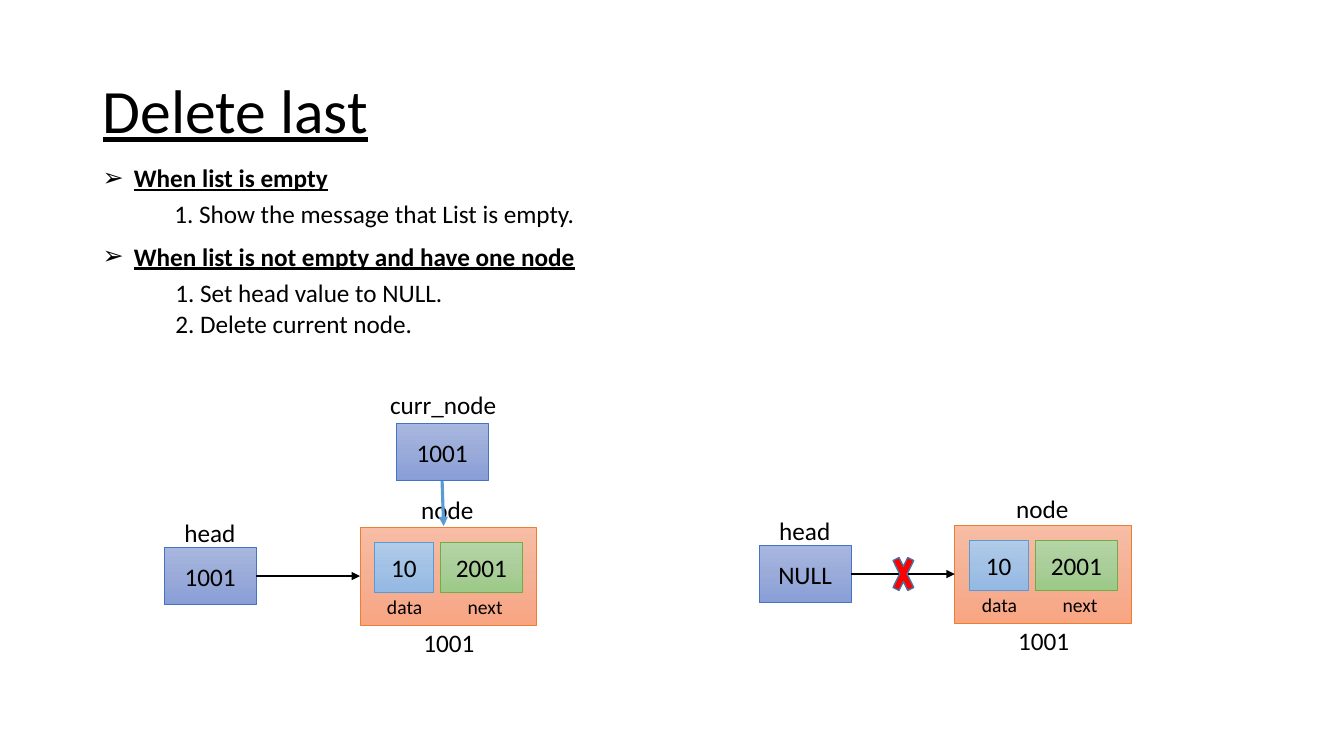
from copy import deepcopy
from dataclasses import dataclass

from lxml.etree import SubElement
from pptx import Presentation
from pptx.dml.color import RGBColor
from pptx.enum.shapes import MSO_CONNECTOR, MSO_SHAPE
from pptx.enum.text import MSO_ANCHOR, MSO_AUTO_SIZE, PP_ALIGN
from pptx.oxml.ns import qn
from pptx.util import Inches, Pt

# Content: (text, is heading, left, top, width)
TITLE = "Delete last"
LINES = [
    ("When list is empty", True, 0.92, 1.56, 2.46),
    ("1. Show the message that List is empty.", False, 1.63, 1.92, 4.22),
    ("When list is not empty and have one node", True, 0.92, 2.34, 4.93),
    ("1. Set head value to NULL.", False, 1.64, 2.7, 2.89),
    ("2. Delete current node.", False, 1.64, 3.01, 2.58),
]
# Each diagram: head value, left of the head box, top of the node box
DIAGRAMS = [("1001", 1.63, 5.23), ("NULL", 7.53, 5.21)]
# Labels around a diagram: text, size name, offset from its origin, width, height
LABELS = [
    ("data", "small", 2.11, 0.62, 0.56, 0.34),
    ("next", "small", 2.91, 0.62, 0.55, 0.34),
    ("head", "body", 0.1, -0.15, 0.72, 0.4),
    ("1001", "body", 2.47, 0.94, 0.71, 0.4),
    ("node", "body", 2.45, -0.37, 0.73, 0.4),
]
POINTER_SIZE = (0.91, 0.57)


@dataclass(frozen=True)
class Theme:
    font: str = "Calibri"
    ink: str = "000000"
    title: int = 44
    body: int = 18
    small: int = 14
    arrow: str = "5B9BD5"
    cross: str = "FF0000"
    cross_line: str = "43739E"
    # Box styles: gradient stops, then outline
    pointer: tuple = ("A8B7DF", "9AABD9", "889ED7", "4472C4")
    node: tuple = ("F7BDA5", "F5B196", "F8A582", "ED7D31")
    data: tuple = ("B1CBE9", "A3C1E5", "93B9E4", "5B9BD5")
    next: tuple = ("B5D5A7", "AACE9A", "9CC987", "70AD47")


THEME = Theme()

prs = Presentation()
prs.slide_width, prs.slide_height = Inches(13.33), Inches(7.5)
s = prs.slides.add_slide(prs.slide_layouts[6])


def rgb(value):
    return RGBColor.from_string(value)


def write(tf, text, size=THEME.body, bold=False, underline=False, align=PP_ALIGN.LEFT):
    p = tf.paragraphs[0]
    p.alignment = align
    r = p.add_run()
    r.text = text
    r.font.name, r.font.size = THEME.font, Pt(size)
    r.font.bold, r.font.underline = bold, underline
    r.font.color.rgb = rgb(THEME.ink)
    return p


def label(text, x, y, w, h=0.4, **fmt):
    tf = s.shapes.add_textbox(*map(Inches, (x, y, w, h))).text_frame
    tf.word_wrap = False
    tf.auto_size = MSO_AUTO_SIZE.SHAPE_TO_FIT_TEXT
    return write(tf, text, **fmt)


def box(style, x, y, w, h, text=None):
    sp = s.shapes.add_shape(MSO_SHAPE.RECTANGLE, *map(Inches, (x, y, w, h)))
    sp.shadow.inherit = False
    *colours, outline = style
    sp.fill.gradient()
    sp.fill.gradient_angle = 270
    # A third stop is added to the default two
    stop_list = sp._element.spPr.find(qn("a:gradFill")).find(qn("a:gsLst"))
    stop_list.append(deepcopy(stop_list[-1]))
    for stop, colour, place in zip(sp.fill.gradient_stops, colours, (0, 0.5, 1)):
        stop.color.rgb = rgb(colour)
        stop.position = place
    sp.line.color.rgb, sp.line.width = rgb(outline), Pt(0.5)
    if text:
        sp.text_frame.vertical_anchor = MSO_ANCHOR.MIDDLE
        write(sp.text_frame, text, align=PP_ALIGN.CENTER)
    return sp


def arrow(start, end, colour, width):
    line = s.shapes.add_connector(MSO_CONNECTOR.STRAIGHT, *map(Inches, (*start, *end)))
    line.line.color.rgb, line.line.width = rgb(colour), Pt(width)
    SubElement(line.line._get_or_add_ln(), qn("a:tailEnd"), type="triangle")
    SubElement(line._element.spPr, qn("a:effectLst"))
    return line


def diagram(value, x, y):
    node = box(THEME.node, x + 1.94, y, 1.75, 0.97)
    box(THEME.data, x + 2.08, y + 0.15, 0.59, 0.5, "10")
    box(THEME.next, x + 2.74, y + 0.15, 0.81, 0.5, "2001")
    head = box(THEME.pointer, x, y + 0.2, *POINTER_SIZE, value)
    link = arrow((x + 0.91, y + 0.48), (x + 1.94, y + 0.48), THEME.ink, 1.5)
    link.begin_connect(head, 3)
    link.end_connect(node, 1)
    for text, size, dx, dy, w, h in LABELS:
        label(text, x + dx, y + dy, w, h, size=getattr(THEME, size))


# Title
tf = s.shapes.add_textbox(*map(Inches, (0.92, 0.4, 11.5, 1.45))).text_frame
tf.word_wrap = True
tf.vertical_anchor = MSO_ANCHOR.MIDDLE
write(tf, TITLE, size=THEME.title, underline=True).line_spacing = 0.9

# Cases and their steps
for text, heading, x, y, w in LINES:
    p = label(text, x, y, w, bold=heading, underline=heading)
    if heading:
        pPr = p._p.get_or_add_pPr()
        pPr.set("marL", str(Inches(0.31)))
        pPr.set("indent", str(-Inches(0.31)))
        SubElement(pPr, qn("a:buFont"), typeface="Wingdings")
        pPr[-1].set("typeface", "Arial")
        SubElement(pPr, qn("a:buChar"), char="➢")

# Linked list before and after the deletion
for value, x, y in DIAGRAMS:
    diagram(value, x, y)

# Current node pointer
current = box(THEME.pointer, 3.93, 4.2, *POINTER_SIZE, "1001")
label("curr_node", 3.77, 3.81, 1.27)
arrow((4.39, 4.78), (4.4, 5.22), THEME.arrow, 2.25).begin_connect(current, 2)

# Cross over the removed link
cross = s.shapes.add_shape(MSO_SHAPE.MATH_MULTIPLY, *map(Inches, (8.82, 5.41, 0.28, 0.57)))
cross.shadow.inherit = False
cross.fill.solid()
cross.fill.fore_color.rgb = rgb(THEME.cross)
cross.line.color.rgb, cross.line.width = rgb(THEME.cross_line), Pt(1)

prs.save("out.pptx")
